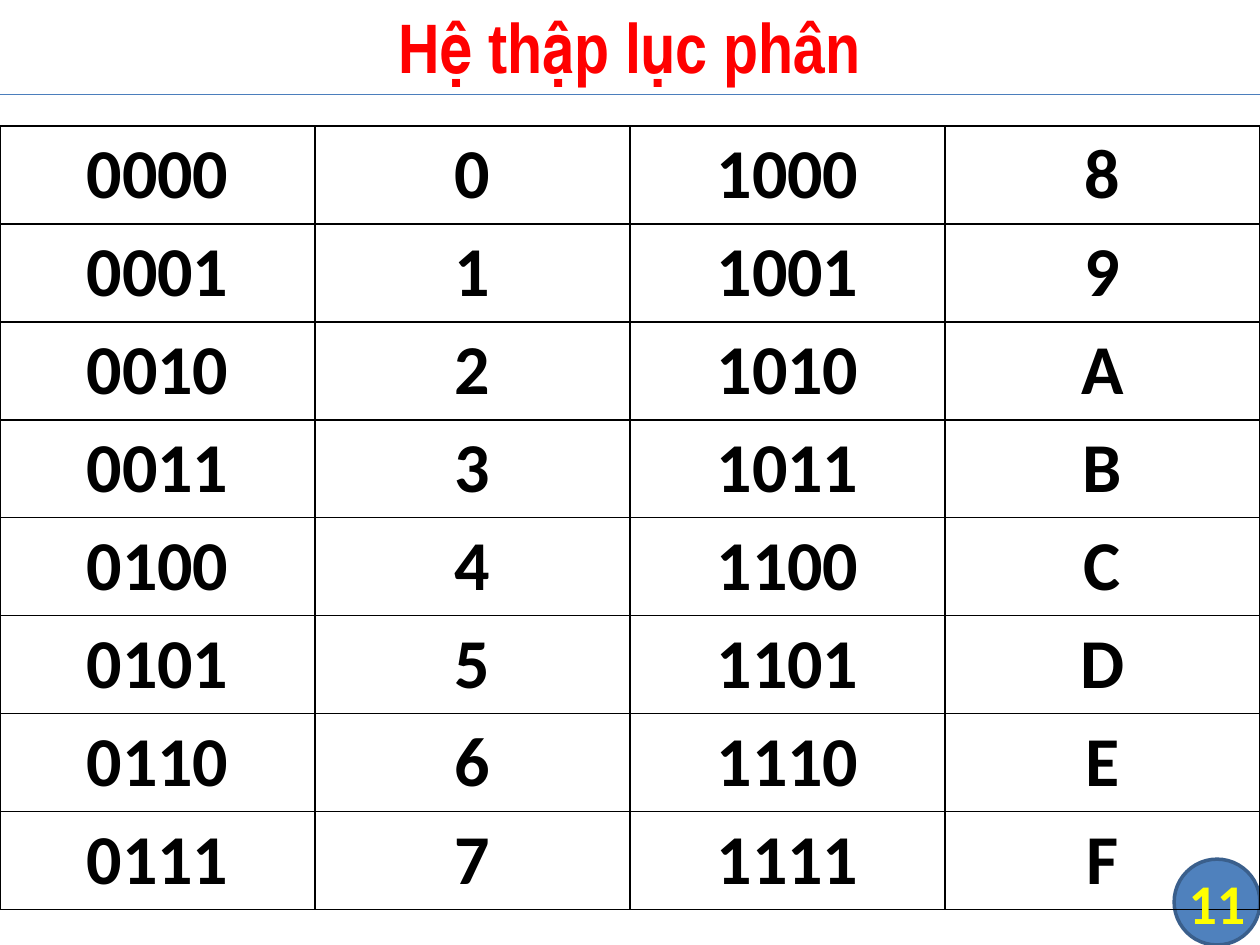
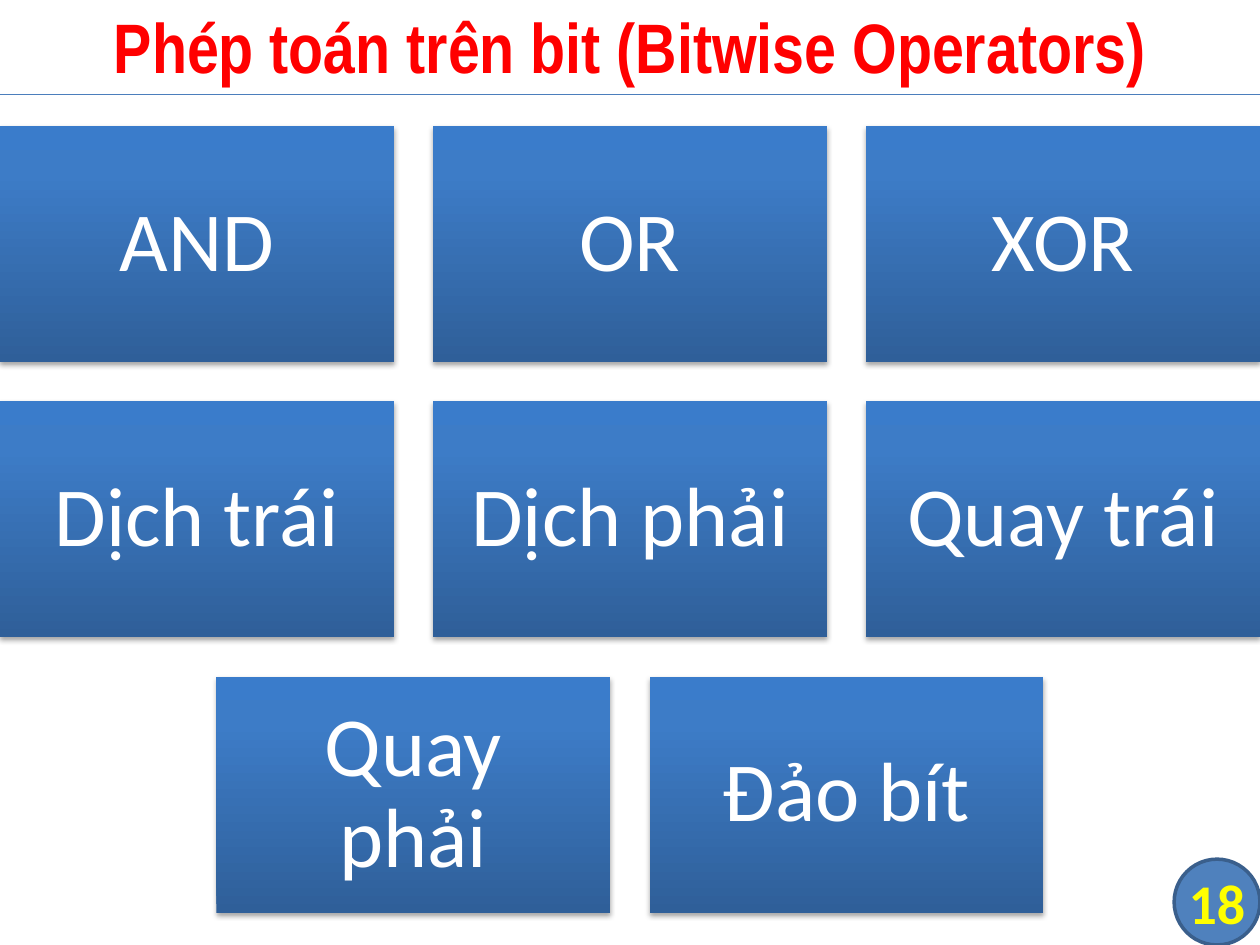
"""Build two slides: a hexadecimal table and the bitwise operators."""
from lxml import etree
from pptx import Presentation, util as u
from pptx.dml.color import RGBColor
from pptx.enum import shapes, text
from pptx.oxml import parse_xml

HUES = {"title": "FF0000", "badge": "4F81BD", "edge": "3A5F8C", "rule": "4B7EBC",
        "num": "FFFF00", "ink": "000000", "white": "FFFFFF",
        "low": "2F5F99", "mid": "3D7CC7", "top": "3A7CCB"}
NS = "http://schemas.openxmlformats.org/drawingml/2006/main"
WIDE, TALL = 25.4, 19.05
HEAD, TOP, DOT = 1.9, 2.54, 1.73


def style(frame, size, hue, bold=False, font="Calibri", inset=0):
    frame.word_wrap = True
    frame.auto_size = text.MSO_AUTO_SIZE.NONE
    frame.vertical_anchor = text.MSO_ANCHOR.MIDDLE
    frame.margin_left = frame.margin_right = u.Cm(inset)
    frame.margin_top = frame.margin_bottom = u.Cm(inset)
    for para in frame.paragraphs:
        para.alignment = text.PP_ALIGN.CENTER
        for run in para.runs:
            run.font.size, run.font.bold, run.font.name = u.Pt(size), bold, font
            run.font.color.rgb = RGBColor.from_string(HUES[hue])


deck = Presentation()
deck.slide_width, deck.slide_height = u.Cm(WIDE), u.Cm(TALL)
pages = []
for name in ["Hệ thập lục phân", "Phép toán trên bit (Bitwise Operators)"]:
    page = deck.slides.add_slide(deck.slide_layouts[5])
    pages.append(page)
    title = page.shapes.title
    title.left, title.top = u.Cm(0), u.Cm(-0.08)
    title.width, title.height = u.Cm(WIDE), u.Cm(1.98)
    title.text_frame.text = name
    style(title.text_frame, 40, "title", True, "Arial Narrow", 0.13)

    dot = page.shapes.add_shape(shapes.MSO_SHAPE.FLOWCHART_CONNECTOR, u.Cm(WIDE - DOT),
                                u.Cm(TALL - DOT), u.Cm(DOT), u.Cm(DOT))
    dot.shadow.inherit = False
    dot.fill.solid()
    dot.fill.fore_color.rgb = RGBColor.from_string(HUES["badge"])
    dot.line.color.rgb = RGBColor.from_string(HUES["edge"])
    dot.line.width = u.Pt(2)

    rule = page.shapes.add_connector(shapes.MSO_CONNECTOR.STRAIGHT, u.Cm(0), u.Cm(HEAD),
                                     u.Cm(WIDE), u.Cm(HEAD))
    rule.line.color.rgb = RGBColor.from_string(HUES["rule"])
    rule.line.width = u.Pt(0.75)
    etree.SubElement(rule._element.spPr, f"{{{NS}}}effectLst")

rows, cols, high = 8, 4, 1.97
grid = pages[0].shapes.add_table(rows, cols, u.Cm(0), u.Cm(TOP), u.Cm(WIDE),
                                 u.Cm(rows * high)).table
grid.first_row = grid.horz_banding = False
for row in range(rows):
    grid.rows[row].height = u.Cm(high)
    words = [f"{row:04b}", f"{row:X}", f"{row + rows:04b}", f"{row + rows:X}"]
    for col, word in enumerate(words):
        cell = grid.cell(row, col)
        cell.text_frame.text = word
        para = cell.text_frame.paragraphs[0]
        para.alignment = text.PP_ALIGN.CENTER
        font = para.runs[0].font
        font.size, font.bold, font.name = u.Pt(40), True, "Calibri"
        font.color.rgb = RGBColor.from_string(HUES["ink"])
        props = cell._tc.get_or_add_tcPr()
        for side in "LRTB":
            props.append(parse_xml(
                f'<a:ln{side} xmlns:a="{NS}" w="12700"><a:solidFill>'
                f'<a:srgbClr val="{HUES["ink"]}"/></a:solidFill></a:ln{side}>'))
        cell.fill.background()

GRAD = (f'<a:gradFill xmlns:a="{NS}" rotWithShape="1"><a:gsLst>'
        f'<a:gs pos="0"><a:srgbClr val="{HUES["low"]}"/></a:gs>'
        f'<a:gs pos="80000"><a:srgbClr val="{HUES["mid"]}"/></a:gs>'
        f'<a:gs pos="100000"><a:srgbClr val="{HUES["top"]}"/></a:gs>'
        '</a:gsLst><a:lin ang="16200000" scaled="0"/></a:gradFill>')
SHADE = (f'<a:effectLst xmlns:a="{NS}"><a:outerShdw blurRad="39370" dist="22860" '
         f'dir="5400000" rotWithShape="0"><a:srgbClr val="{HUES["ink"]}">'
         '<a:alpha val="35000"/></a:srgbClr></a:outerShdw></a:effectLst>')
wide, tall, gap = 7.94, 4.76, 0.79
lines = [["AND", "OR", "XOR"],
         ["Dịch trái", "Dịch phải", "Quay trái"],
         ["Quay phải", "Đảo bít"]]
for row, words in enumerate(lines):
    left = (WIDE - len(words) * wide - (len(words) - 1) * gap) / 2
    for col, word in enumerate(words):
        box = pages[1].shapes.add_shape(
            shapes.MSO_SHAPE.RECTANGLE, u.Cm(left + col * (wide + gap)),
            u.Cm(TOP + row * (tall + gap)), u.Cm(wide), u.Cm(tall))
        box.line.fill.background()
        props = box._element.spPr
        props.insert(2, parse_xml(GRAD))
        props.append(parse_xml(SHADE))
        box.text_frame.text = word
        box.text_frame.paragraphs[0].line_spacing = 0.9
        style(box.text_frame, 48, "white", inset=0.51)

for page, num in zip(pages, ["11", "18"]):
    note = page.shapes.add_textbox(u.Cm(WIDE - DOT), u.Cm(TALL - DOT), u.Cm(DOT), u.Cm(DOT))
    note.text_frame.text = num
    style(note.text_frame, 32, "num", True)

deck.save("out.pptx")
